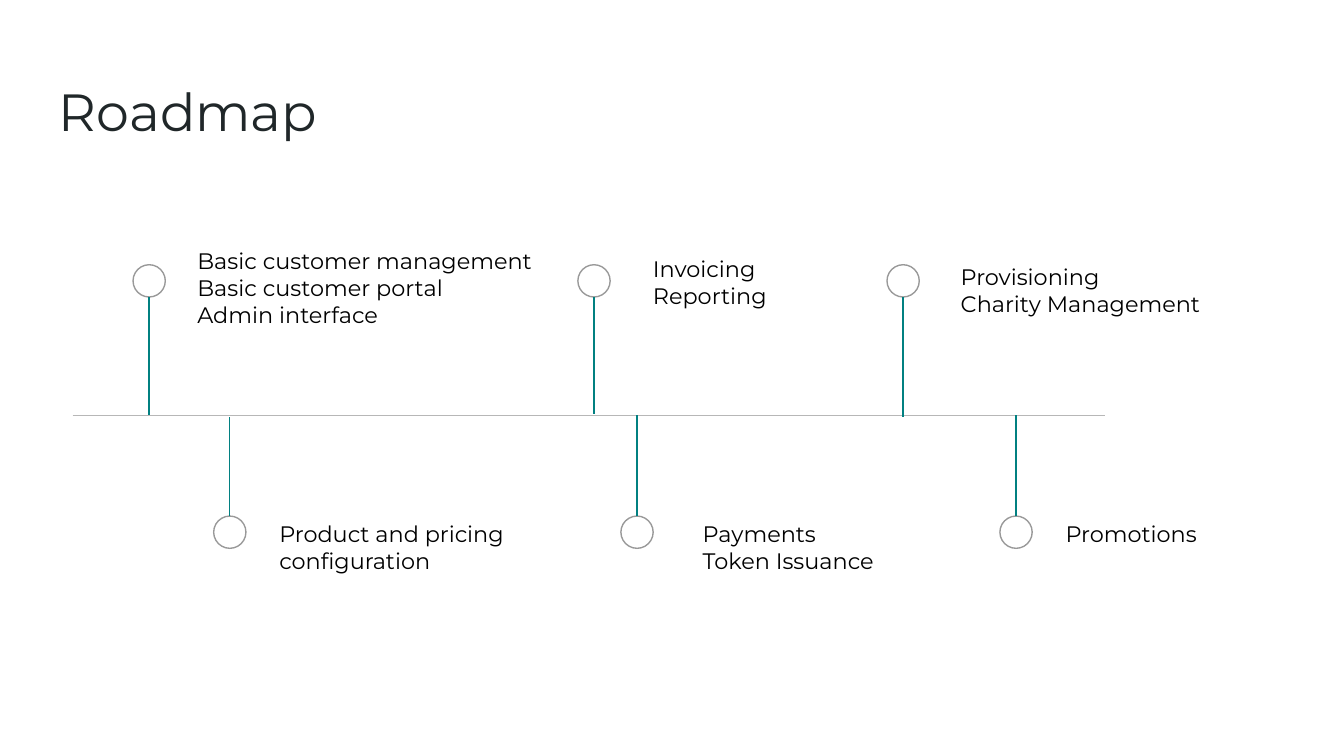
from lxml import etree
from pptx import Presentation
from pptx.dml.color import RGBColor
from pptx.enum.shapes import MSO_CONNECTOR, MSO_SHAPE
from pptx.enum.text import MSO_ANCHOR, PP_ALIGN
from pptx.oxml.ns import qn
from pptx.util import Inches, Pt

STRAIGHT = MSO_CONNECTOR.STRAIGHT
OVAL = MSO_SHAPE.OVAL
TOP = MSO_ANCHOR.TOP
LEFT = PP_ALIGN.LEFT

CELL = 0.1
COLUMNS, ROWS = 100, 56.25
AXIS_ROW = 30.9
MARKER_SIZE = 2.4
UPPER_ROW, LOWER_ROW = 19.7, 38.4
LOWER_LABEL_ROW = 37.7

MILESTONES_ABOVE = [
    (11.1, 30.9, (13.7, 17.4, 27.3, 8.7),
     ["Basic customer management", "Basic customer portal", "Admin interface"]),
    (44.2, 30.8, (47.6, 18, 15.4, 7.5), ["Invoicing", "Reporting"]),
    (67.2, 31, (70.5, 18.6, 20.5, 8.7), ["Provisioning", "Charity Management"]),
]
MILESTONES_BELOW = [
    (17.1, 31, (19.8, LOWER_LABEL_ROW, 25.2, 3.5),
     ["Product and pricing configuration"]),
    (47.4, 30.9, (51.3, LOWER_LABEL_ROW, 22.2, 6.3), ["Payments", "Token Issuance"]),
    (75.6, 30.9, (78.3, LOWER_LABEL_ROW, 12.5, 3.5), ["Promotions"]),
]


def color(hex_string):
    return RGBColor.from_string(hex_string)


def grid(*cells):
    return [Inches(cell * CELL) for cell in cells]


class RoadmapSlide:
    font = "Montserrat"
    title_color = "202729"
    text_color = "000000"
    axis_color = "B7B7B7"
    stem_color = "018081"
    marker_fill = "FFFFFF"
    marker_line = "999999"
    line_width = Pt(0.75)

    def __init__(self, presentation):
        self.slide = presentation.slides.add_slide(presentation.slide_layouts[6])

    def text(self, box, lines, size=12, hex_string=text_color):
        text_frame = self.slide.shapes.add_textbox(*grid(*box)).text_frame
        text_frame.word_wrap = True
        text_frame.vertical_anchor = TOP
        text_frame.margin_left = text_frame.margin_right = Inches(0.1)
        text_frame.margin_top = text_frame.margin_bottom = Inches(0.1)
        text_frame.text = "\n".join(lines)
        for paragraph in text_frame.paragraphs:
            paragraph.alignment = LEFT
            for run in paragraph.runs:
                run.font.name = self.font
                run.font.size = Pt(size)
                run.font.color.rgb = color(hex_string)

    def line(self, start, end, hex_string):
        connector = self.slide.shapes.add_connector(STRAIGHT, *grid(*start, *end))
        connector.line.color.rgb = color(hex_string)
        connector.line.width = self.line_width
        etree.SubElement(connector._element.spPr, qn("a:effectLst"))

    def marker(self, center, top):
        shape = self.slide.shapes.add_shape(
            OVAL, *grid(center - MARKER_SIZE / 2, top, MARKER_SIZE, MARKER_SIZE))
        shape.shadow.inherit = False
        shape.fill.solid()
        shape.fill.fore_color.rgb = color(self.marker_fill)
        shape.line.color.rgb = color(self.marker_line)
        shape.line.width = self.line_width

    def milestone(self, center, marker_row, stem_row, axis_row, box, lines):
        self.marker(center, marker_row)
        self.line((center, stem_row), (center, axis_row), self.stem_color)
        self.text(box, lines)


def main():
    presentation = Presentation()
    presentation.slide_width, presentation.slide_height = grid(COLUMNS, ROWS)
    roadmap = RoadmapSlide(presentation)
    roadmap.text((3.4, 4.9, 93.2, 6.3), ["Roadmap"], 28, roadmap.title_color)
    roadmap.line((5.4, AXIS_ROW), (82.2, AXIS_ROW), roadmap.axis_color)
    for center, axis_row, box, lines in MILESTONES_ABOVE:
        roadmap.milestone(center, UPPER_ROW, UPPER_ROW + MARKER_SIZE, axis_row, box, lines)
    for center, axis_row, box, lines in MILESTONES_BELOW:
        roadmap.milestone(center, LOWER_ROW, LOWER_ROW, axis_row, box, lines)
    presentation.save("out.pptx")


if __name__ == "__main__":
    main()
